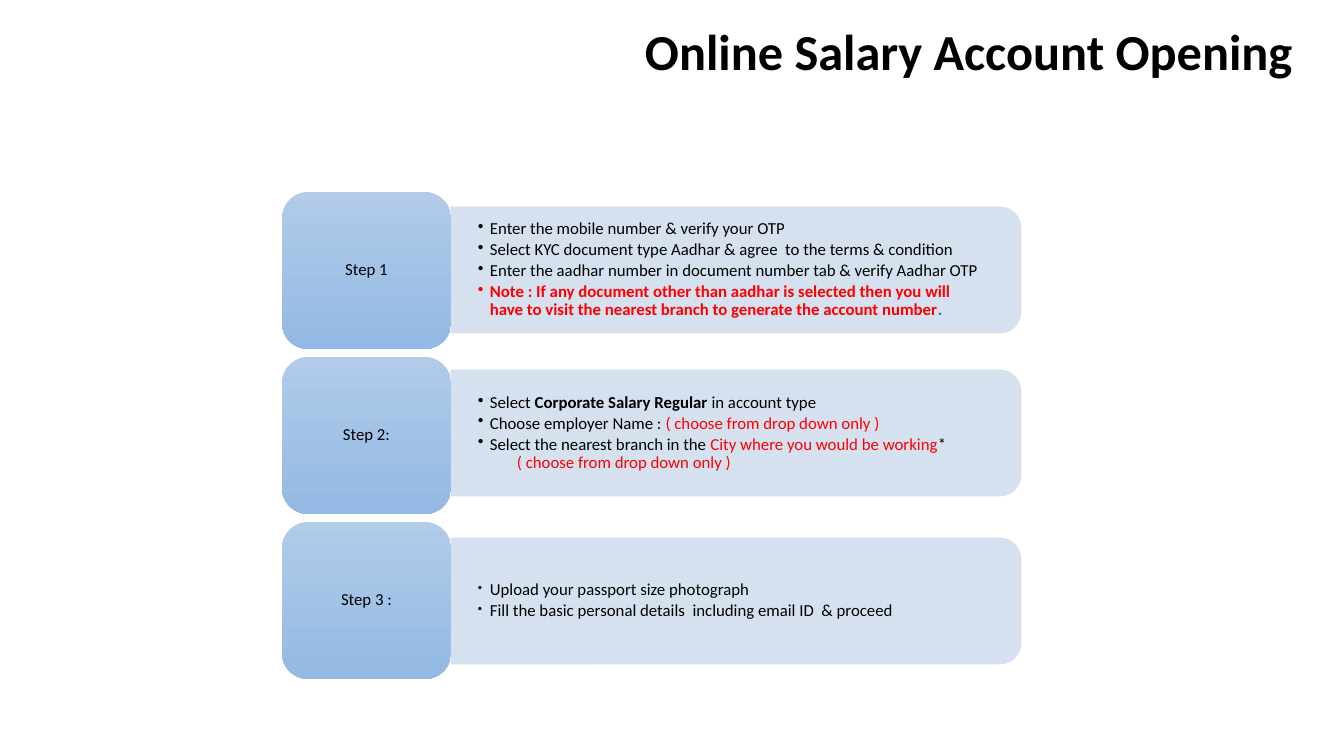
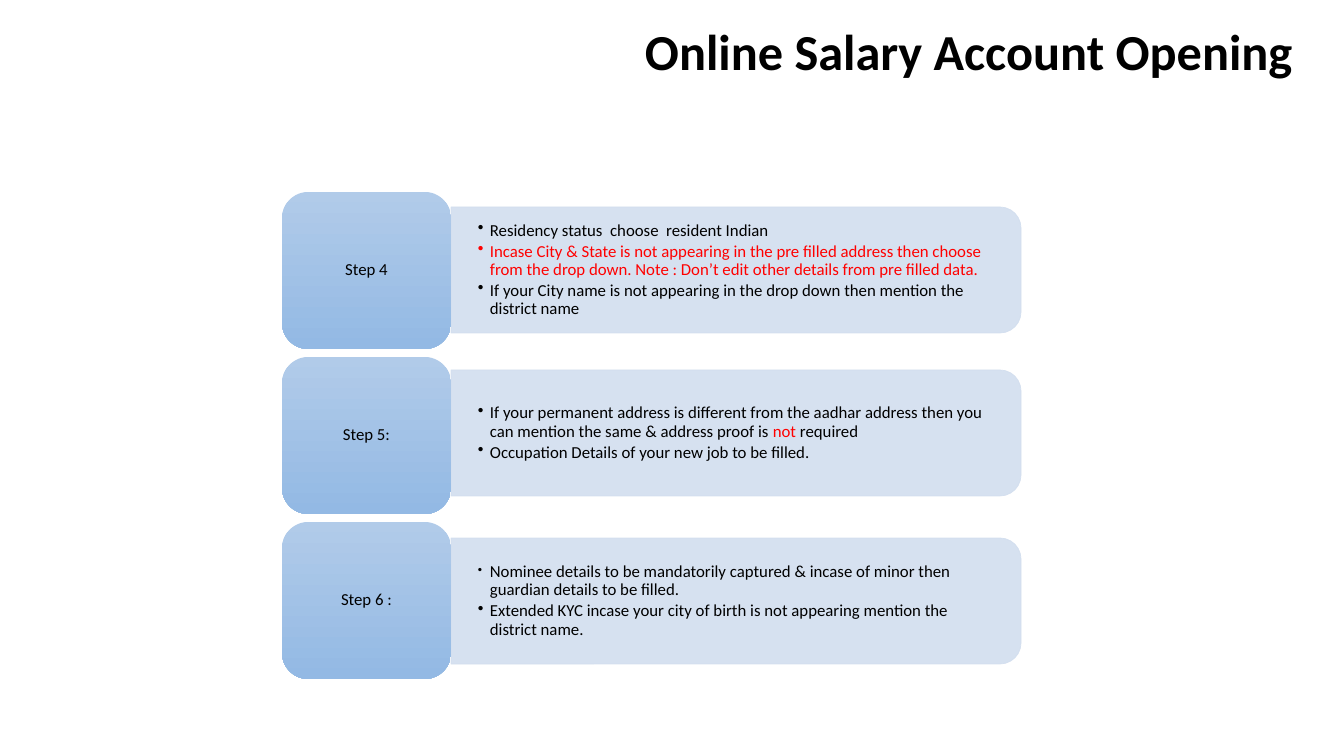
from pptx import Presentation
from pptx.dml.color import RGBColor
from pptx.enum.shapes import MSO_SHAPE as Shape
from pptx.enum.text import MSO_ANCHOR as Anchor, PP_ALIGN as Align
from pptx.oxml.ns import qn
from pptx.util import Emu, Pt
from lxml.etree import SubElement

PIXELS_PER_INCH = 100.8
FONT = "Calibri"
BLACK, RED, BLUE = "000000", "FF0000", "2E75B6"
PANEL_FILL = "D2DEEF"
BLOCK_TOP_COLOR, BLOCK_BOTTOM_COLOR = "B1CBE9", "93B9E4"

TITLE = "Online Salary Account Opening"
BLOCK_LEFT, BLOCK_TOP, BLOCK_WIDTH, BLOCK_HEIGHT = 282, 192, 169, 157
BLOCK_PITCH = 165
PANEL_LEFT, PANEL_WIDTH, PANEL_HEIGHT = 451, 570, 126
PANEL_TOPS = (207, 370, 538)
HANG = 12
CONTINUATION_INDENT = 39


def px(pixels):
    """Turn whole pixels into EMU."""
    return Emu(round(pixels * 914400 / PIXELS_PER_INCH))


def rgb(color):
    """Turn a hex string into a colour."""
    return RGBColor.from_string(color)


def run(text, color=BLACK, bold=False):
    """Describe one stretch of text."""
    return text, color, bold


def point(*runs, bullet_size=100, continued=False, continuation=False):
    """Describe one paragraph of a panel."""
    return runs, bullet_size, continued, continuation


class Deck:
    """Holds the shared style and the current slide."""

    def __init__(self):
        """Start an empty wide presentation."""
        self.presentation = Presentation()
        self.presentation.slide_width = px(1344)
        self.presentation.slide_height = px(756)
        self.slide = None

    def add_slide(self, steps):
        """Add a slide with the title and its rows of steps."""
        layout = self.presentation.slide_layouts[6]
        self.slide = self.presentation.slides.add_slide(layout)
        self.title(TITLE)
        for row, (label, points) in enumerate(steps):
            self.panel(PANEL_TOPS[row])
            self.points(PANEL_TOPS[row], points)
            self.block(BLOCK_TOP + row * BLOCK_PITCH, label)

    def text_box(self, left, top, width, height):
        """Add a wrapping text box and return its text frame."""
        box = self.slide.shapes.add_textbox(px(left), px(top), px(width), px(height))
        box.text_frame.word_wrap = True
        return box.text_frame

    def shape(self, kind, left, top, width, height):
        """Add a preset shape without a shadow."""
        shape = self.slide.shapes.add_shape(
            kind, px(left), px(top), px(width), px(height))
        shape.shadow.inherit = False
        return shape

    def format_run(self, text_run, size, color=BLACK, bold=False):
        """Set the font of a run."""
        font = text_run.font
        font.name, font.size, font.bold = FONT, Pt(size), bold
        font.color.rgb = rgb(color)

    def title(self, text):
        """Add the right-aligned title."""
        frame = self.text_box(596, 15, 731, 72)
        frame.margin_right = px(34)
        frame.text = text
        paragraph = frame.paragraphs[0]
        paragraph.alignment = Align.RIGHT
        self.format_run(paragraph.runs[0], 36, bold=True)

    def panel(self, top):
        """Add the pale panel, rounded on its right side by a quarter turn."""
        shift = (PANEL_WIDTH - PANEL_HEIGHT) // 2
        panel = self.shape(Shape.ROUND_2_SAME_RECTANGLE, PANEL_LEFT + shift,
                           top - shift, PANEL_HEIGHT, PANEL_WIDTH)
        panel.rotation = 90
        panel.fill.solid()
        panel.fill.fore_color.rgb = rgb(PANEL_FILL)
        panel.line.color.rgb = rgb(PANEL_FILL)
        panel.line.width = Pt(0.5)
        for color in panel._element.spPr.iter(qn("a:srgbClr")):
            SubElement(color, qn("a:alpha"), val="90000")

    def points(self, top, points):
        """Add the bulleted text of a panel."""
        frame = self.text_box(PANEL_LEFT, top + 6, 564, 114)
        frame.vertical_anchor = Anchor.MIDDLE
        frame.margin_left = frame.margin_right = px(27)
        frame.margin_top = frame.margin_bottom = px(14)
        for index, (runs, bullet_size, continued, continuation) in enumerate(points):
            paragraph = frame.add_paragraph() if index else frame.paragraphs[0]
            paragraph.line_spacing = 0.9
            paragraph.space_after = Pt(0 if continued else 2)
            for text, color, bold in runs:
                text_run = paragraph.add_run()
                text_run.text = text
                self.format_run(text_run, 12, color, bold)
            if continuation:
                self.indent(paragraph, CONTINUATION_INDENT, 0)
            else:
                self.indent(paragraph, HANG, -HANG)
                self.bullet(paragraph, bullet_size)

    def indent(self, paragraph, left, first_line):
        """Set the left margin and the first-line indent."""
        properties = paragraph._p.get_or_add_pPr()
        properties.set("marL", str(px(left)))
        properties.set("indent", str(px(first_line)))

    def bullet(self, paragraph, size):
        """Give a paragraph a bullet of a size in percent."""
        properties = paragraph._p.get_or_add_pPr()
        SubElement(properties, qn("a:buSzPct"), val=str(size * 1000))
        SubElement(properties, qn("a:buChar"), char="•")

    def block(self, top, label):
        """Add the shaded block that names a step."""
        block = self.shape(Shape.ROUNDED_RECTANGLE, BLOCK_LEFT, top,
                           BLOCK_WIDTH, BLOCK_HEIGHT)
        block.fill.gradient()
        block.fill.gradient_angle = 270
        colors = (BLOCK_TOP_COLOR, BLOCK_BOTTOM_COLOR)
        for stop, color in zip(block.fill.gradient_stops, colors):
            stop.color.rgb = rgb(color)
        block.line.fill.background()
        frame = block.text_frame
        frame.word_wrap = True
        frame.vertical_anchor = Anchor.MIDDLE
        frame.text = label
        paragraph = frame.paragraphs[0]
        paragraph.alignment = Align.CENTER
        paragraph.line_spacing = 0.9
        paragraph.space_after = Pt(4.2)
        self.format_run(paragraph.runs[0], 12)


DROP_DOWN = run("( choose from drop down only )", RED)

FIRST_STEPS = [
    ("Step 1", [
        point(run("Enter the mobile number & verify your OTP")),
        point(run("Select KYC document type Aadhar & agree  to the terms & condition")),
        point(run("Enter the aadhar number in document number tab & verify Aadhar OTP")),
        point(run("Note : If any document other than aadhar is selected then you will "
                  "have to visit the nearest branch to generate the account number",
                  RED, True),
              run(".", BLUE, True)),
    ]),
    ("Step 2:", [
        point(run("Select "), run("Corporate Salary Regular", bold=True),
              run(" in account type")),
        point(run("Choose employer Name : "), DROP_DOWN),
        point(run("Select the nearest branch in the "),
              run("City where you would be working", RED), run("*"), continued=True),
        point(DROP_DOWN, continuation=True),
    ]),
    ("Step 3 :", [
        point(run("Upload your passport size photograph"), bullet_size=75),
        point(run("Fill the basic personal details  including email ID  & proceed"),
              bullet_size=75),
    ]),
]

LAST_STEPS = [
    ("Step 4", [
        point(run("Residency status  choose  resident Indian")),
        point(run("Incase City & State is not appearing in the pre filled address then "
                  "choose from the drop down. Note : Don’t edit other details from pre "
                  "filled data.", RED)),
        point(run("If your City name is not appearing in the drop down then mention the "
                  "district name")),
    ]),
    ("Step 5:", [
        point(run("If your permanent address is different from the aadhar address then "
                  "you can mention the same & address proof is "),
              run("not ", RED), run("required")),
        point(run("Occupation Details of your new job to be filled.")),
    ]),
    ("Step 6 :", [
        point(run("Nominee details to be mandatorily captured & incase of minor then "
                  "guardian details to be filled."), bullet_size=75),
        point(run("Extended KYC incase your city of birth is not appearing mention the "
                  "district name.")),
    ]),
]

deck = Deck()
for slide_steps in (FIRST_STEPS, LAST_STEPS):
    deck.add_slide(slide_steps)
deck.presentation.save("out.pptx")
